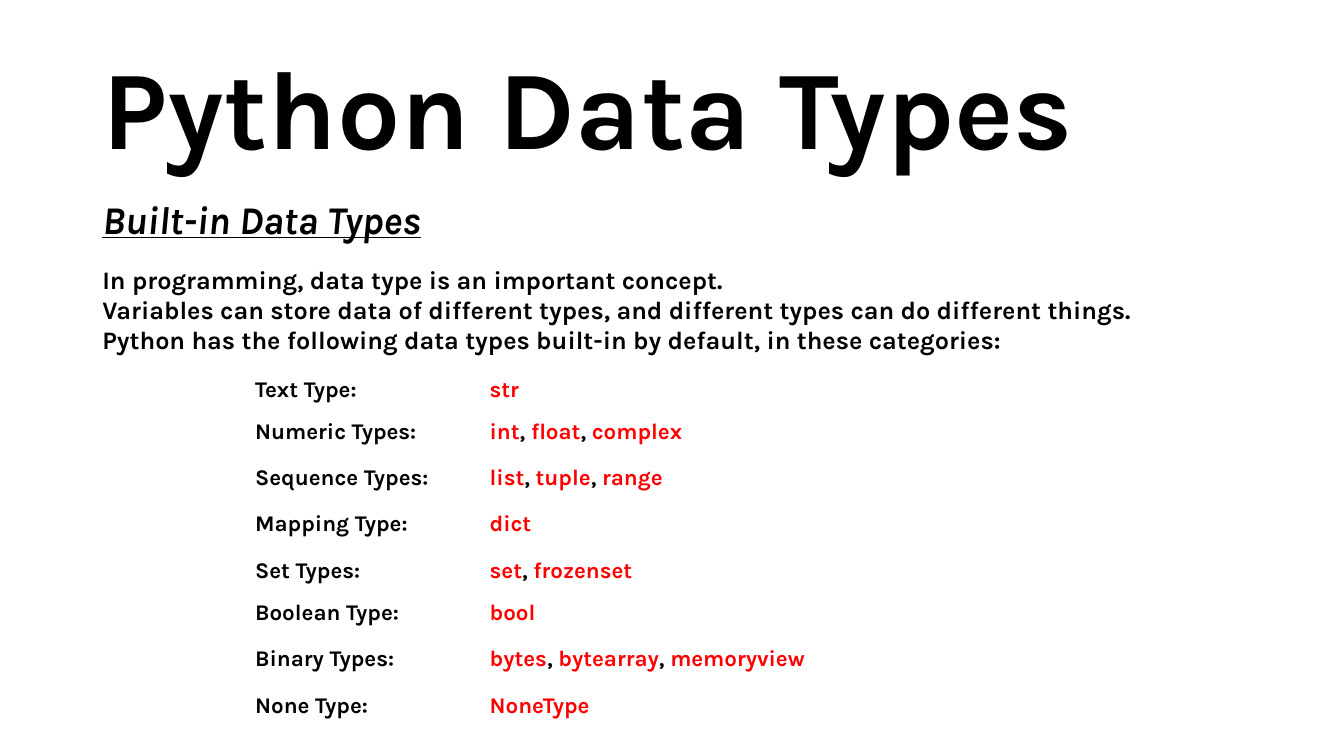
from pptx import Presentation
from pptx.dml.color import RGBColor
from pptx.enum.text import MSO_ANCHOR as Anchor, MSO_AUTO_SIZE as AutoSize
from pptx.util import Cm, Pt

COLORS = {"text": "000000", "type": "FF0000", "cell": "FFFFFF"}
FONT = "Karla"

INTRO_LINES = [
    "In programming, data type is an important concept.",
    "Variables can store data of different types, and different types can do different things.",
    "Python has the following data types built-in by default, in these categories:",
]
# category, its types, row height in cm
CATEGORIES = [
    ("Text Type:", ["str"], 0.89),
    ("Numeric Types:", ["int", "float", "complex"], 1.17),
    ("Sequence Types:", ["list", "tuple", "range"], 1.17),
    ("Mapping Type:", ["dict"], 1.17),
    ("Set Types:", ["set", "frozenset"], 0.89),
    ("Boolean Type:", ["bool"], 1.17),
    ("Binary Types:", ["bytes", "bytearray", "memoryview"], 1.17),
    ("None Type:", ["NoneType"], 0.89),
]


def add_run(paragraph, text, size, color="text"):
    run = paragraph.add_run()
    run.text = text
    run.font.name = FONT
    run.font.size = Pt(size)
    run.font.bold = True
    run.font.color.rgb = RGBColor.from_string(COLORS[color])
    return run


def add_text_frame(top, width, height):
    """Add a wrapping text box at the left margin and return its text frame."""
    frame = slide.shapes.add_textbox(Cm(2.33), Cm(top), Cm(width), Cm(height)).text_frame
    frame.word_wrap = True
    return frame


prs = Presentation()
prs.slide_width, prs.slide_height = Cm(33.87), Cm(19.05)
slide = prs.slides.add_slide(prs.slide_layouts[6])

subtitle = add_text_frame(4.93, 8.71, 1.47).paragraphs[0]
subtitle.line_spacing = 0.9
subtitle.space_before = Pt(10)
subtitle_run = add_run(subtitle, "Built-in Data Types", 28)
subtitle_run.font.italic = True
subtitle_run.font.underline = True

title_frame = add_text_frame(1.01, 29.21, 3.68)
title_frame.vertical_anchor = Anchor.MIDDLE
title = title_frame.paragraphs[0]
title.line_spacing = 0.9
add_run(title, "Python Data Types", 80)

intro = add_text_frame(6.53, 26.7, 3.33)
intro.auto_size = AutoSize.SHAPE_TO_FIT_TEXT
for index, line in enumerate(INTRO_LINES):
    paragraph = intro.add_paragraph() if index else intro.paragraphs[0]
    add_run(paragraph, line, 18)

types_table = slide.shapes.add_table(
    len(CATEGORIES), 2, Cm(6.05), Cm(9.3), Cm(17.56), Cm(8.99)
).table
types_table.first_row = False
types_table.horz_banding = False
types_table.columns[0].width = Cm(6.1)
types_table.columns[1].width = Cm(11.46)

for row, (category, type_names, height) in zip(types_table.rows, CATEGORIES):
    row.height = Cm(height)
    for cell, left_margin in zip(row.cells, (0.38, 0.19)):
        cell.fill.solid()
        cell.fill.fore_color.rgb = RGBColor.from_string(COLORS["cell"])
        cell.margin_left = Cm(left_margin)
        cell.margin_right = cell.margin_top = cell.margin_bottom = Cm(0.19)

    category_cell, types_cell = row.cells
    add_run(category_cell.text_frame.paragraphs[0], category, 16)
    types_paragraph = types_cell.text_frame.paragraphs[0]
    for index, type_name in enumerate(type_names):
        if index:
            add_run(types_paragraph, ", ", 16)
        add_run(types_paragraph, type_name, 16, "type")

prs.save("out.pptx")
